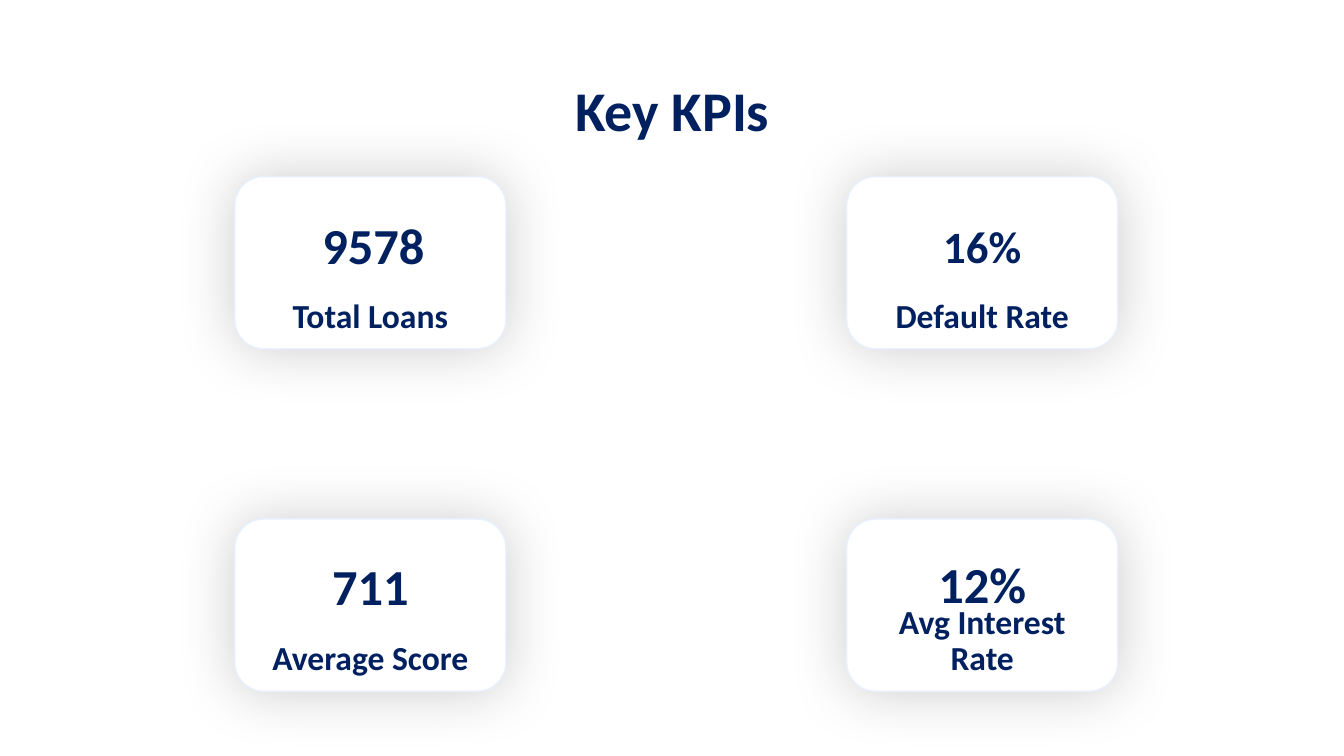
from lxml.etree import SubElement
from pptx import Presentation
from pptx.dml.color import RGBColor
from pptx.enum.shapes import MSO_SHAPE
from pptx.enum.text import MSO_ANCHOR, MSO_AUTO_SIZE, PP_ALIGN
from pptx.oxml.ns import qn
from pptx.util import Cm, Pt

COLORS = {"navy": "002060", "card": "FFFFFF", "border": "E8F1FF", "shadow": "000000"}
FONT = "Calibri"

CARD_WIDTH, CARD_HEIGHT = 6.83, 4.34
CARD_LEFTS = (5.92, 21.34)
CARD_TOPS = (4.45, 13.08)
VALUE_WIDTH = 5.11

# Label, value, value size, then left, top and height of the value in cm
KPIS = [
    ("Total Loans", "9578", 36, 6.86, 5.49, 1.35),
    ("Default Rate", "16%", 32, 22.2, 5.56, 1.27),
    ("Average Score", "711", 36, 6.78, 14.07, 1.35),
    ("Avg Interest Rate", "12%", 36, 22.2, 14.07, 1.24),
]


def color(name):
    return RGBColor.from_string(COLORS[name])


def write_text(shape, text, size, anchor=MSO_ANCHOR.MIDDLE, line_spacing=1.0, space_before=0):
    frame = shape.text_frame
    frame.word_wrap = True
    frame.auto_size = MSO_AUTO_SIZE.NONE
    frame.vertical_anchor = anchor
    para = frame.paragraphs[0]
    para.alignment = PP_ALIGN.CENTER
    para.line_spacing = line_spacing
    para.space_before = Pt(space_before)
    span = para.add_run()
    span.text = text
    span.font.name = FONT
    span.font.size = Pt(size)
    span.font.bold = True
    span.font.color.rgb = color("navy")


def add_box(page, kind, left, top, width, height):
    box = page.shapes.add_shape(kind, Cm(left), Cm(top), Cm(width), Cm(height))
    box.shadow.inherit = False
    box.fill.solid()
    box.fill.fore_color.rgb = color("card")
    box.line.fill.background()
    return box


def add_soft_shadow(box, blur, opacity):
    effects = box._element.spPr.find(qn("a:effectLst"))
    shadow = SubElement(effects, qn("a:outerShdw"), blurRad=str(Pt(blur)), dist="0",
                        dir="5400000", algn="ctr", rotWithShape="0")
    tint = SubElement(shadow, qn("a:srgbClr"), val=COLORS["shadow"])
    SubElement(tint, qn("a:alpha"), val=str(opacity * 1000))


def add_card(page, left, top, label):
    card = add_box(page, MSO_SHAPE.ROUNDED_RECTANGLE, left, top, CARD_WIDTH, CARD_HEIGHT)
    card.line.color.rgb = color("border")
    card.line.width = Pt(1)
    add_soft_shadow(card, blur=43, opacity=20)
    write_text(card, label, 24, anchor=MSO_ANCHOR.BOTTOM, line_spacing=0.9, space_before=10)


def add_value(page, text, size, left, top, height):
    box = add_box(page, MSO_SHAPE.RECTANGLE, left, top, VALUE_WIDTH, height)
    write_text(box, text, size)


def set_title(page, text):
    title = page.shapes.title
    title.left, title.top, title.width, title.height = Cm(2.34), Cm(1.02), Cm(29.21), Cm(3.68)
    write_text(title, text, 40, line_spacing=0.9)


def main():
    deck = Presentation()
    deck.slide_width, deck.slide_height = Cm(33.87), Cm(19.05)
    page = deck.slides.add_slide(deck.slide_layouts[5])

    set_title(page, "Key KPIs")

    # Two by two grid of cards, each with its value on top
    for index, (label, value, size, left, top, height) in enumerate(KPIS):
        row, column = divmod(index, 2)
        add_card(page, CARD_LEFTS[column], CARD_TOPS[row], label)
        add_value(page, value, size, left, top, height)

    deck.save("out.pptx")


if __name__ == "__main__":
    main()
